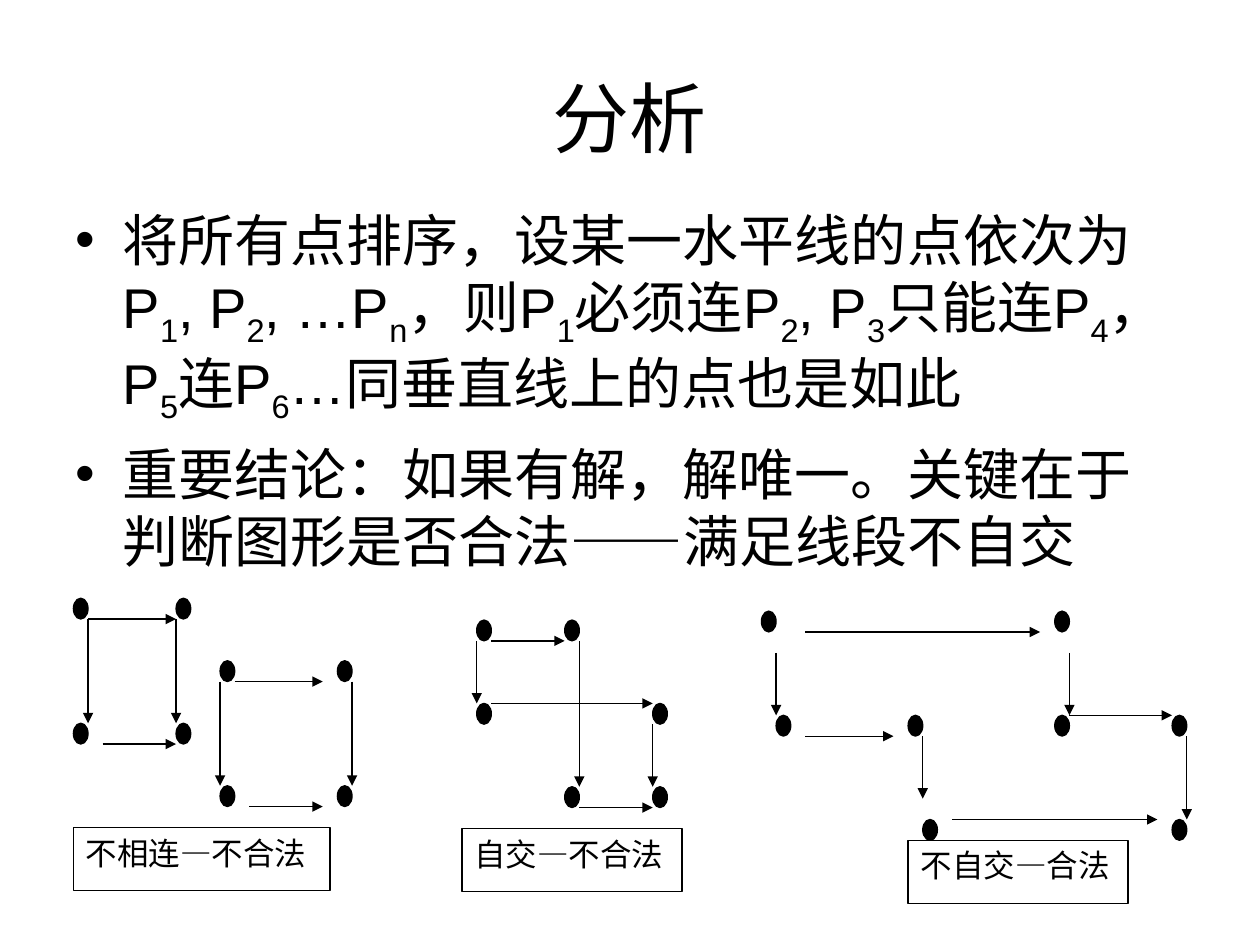
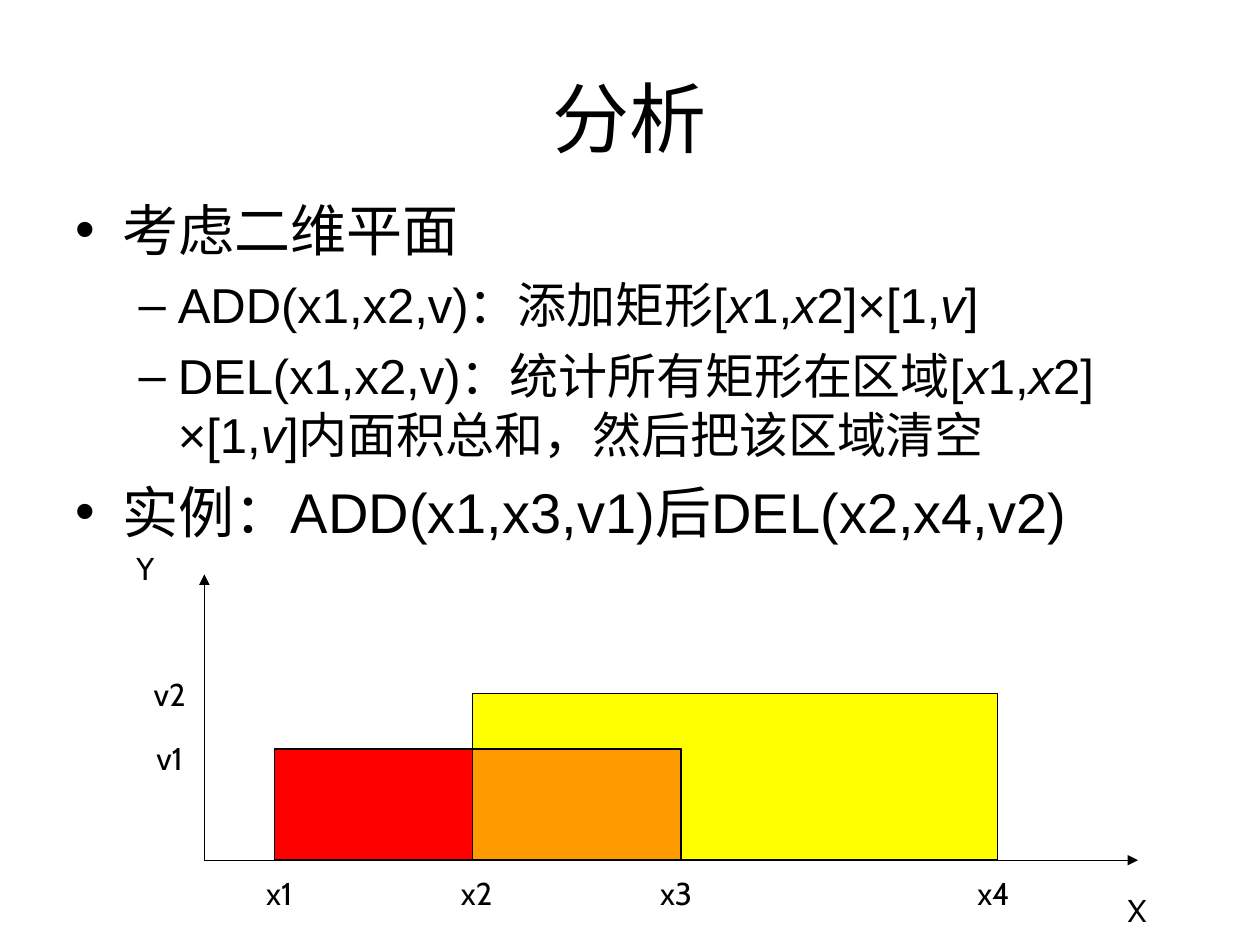
from lxml.etree import SubElement
from pptx import Presentation
from pptx.dml.color import RGBColor
from pptx.enum.shapes import MSO_CONNECTOR as Link, MSO_SHAPE as Shape
from pptx.enum.text import MSO_ANCHOR as Anchor, MSO_AUTO_SIZE as Fit, PP_ALIGN as Align
from pptx.oxml.ns import qn
from pptx.util import Cm, Pt

BLACK, WHITE = "000000", "FFFFFF"
YELLOW, RED, ORANGE = "FFFF00", "FF0000", "FF9900"
HEADING_FONT, CAPTION_FONT, AXIS_FONT = "Arial", "Times New Roman", "Cabin"

# One dot fills one cell of the grid that the point diagrams stand on.
CELL_W, CELL_H = 17.74 / 60, 0.42

# Level: bullet, text size, space before, left margin and hanging indent in cm
LEVELS = [("•", 32, 8, 0.95, 0.95), ("–", 28, 7, 2.06, 0.79)]

# Places are (column, row) cells counted from each diagram's origin in cm.
DIAGRAMS = [
    dict(origin=(1.48, 12.06),
         dots=[(0, 0), (7, 0), (10, 3), (18, 3), (7, 6), (0, 6), (10, 9), (18, 9)],
         arrows=[(1, 1, 7, 1), (1, 1, 1, 6), (7, 1, 7, 6), (11, 4, 17, 4),
                 (10, 4, 10, 9), (19, 4, 19, 9), (12, 10, 17, 10), (2, 7, 7, 7)],
         caption=("不相连—不合法", 0, 11, 17.5)),
    dict(origin=(15.35, 12.32),
         dots=[(20, 5), (28, 5), (28, 10), (20, 0), (11, 10), (10, 5), (1, 5), (0, 0)],
         arrows=[(3, 1, 19, 1), (21, 2, 21, 5), (21, 5, 28, 5), (29, 6, 29, 10),
                 (1, 2, 1, 5), (3, 6, 9, 6), (11, 6, 11, 9), (13, 10, 27, 10)],
         caption=("不自交—合法", 10, 11, 15)),
    dict(origin=(9.61, 12.5),
         dots=[(0, 0), (6, 0), (0, 4), (12, 8), (6, 8), (12, 4)],
         arrows=[(1, 1, 6, 1), (0, 1, 0, 4), (1, 4, 12, 4),
                 (7, 1, 7, 8), (7, 9, 12, 9), (12, 5, 12, 8)],
         caption=("自交—不合法", -1, 10, 15)),
]


def colour(value):
    return RGBColor.from_string(value)


class Deck:
    def __init__(self):
        self.deck = Presentation()
        self.deck.slide_width, self.deck.slide_height = Cm(25.4), Cm(19.05)
        self.page = None

    def new_page(self, title):
        self.page = self.deck.slides.add_slide(self.deck.slide_layouts[1])
        box = self.page.shapes.title
        self.place(box, 1.27, 0.76, 22.86, 3.18)
        box.text_frame.vertical_anchor = Anchor.MIDDLE
        para = box.text_frame.paragraphs[0]
        para.alignment = Align.CENTER
        self.span(para, title, 44, HEADING_FONT)

    def place(self, box, left, top, width, height):
        box.left, box.top, box.width, box.height = map(Cm, (left, top, width, height))

    def span(self, para, text, size, font):
        span = para.add_run()
        span.text = text
        span.font.size, span.font.name = Pt(size), font
        span.font.color.rgb = colour(BLACK)
        return span

    def body(self, top, items, subscript=False):
        """Write (level, text) items; text between bars is subscript or italic."""
        box = self.page.placeholders[1]
        self.place(box, 1.27, top, 22.86, 12.57)
        frame = box.text_frame
        frame.auto_size = Fit.NONE
        for number, (level, text) in enumerate(items):
            para = frame.add_paragraph() if number else frame.paragraphs[0]
            mark, size, before, margin, hanging = LEVELS[level]
            para.level = level
            para.space_before = Pt(before if number else 0)
            self.bullet(para, mark, margin, hanging)
            for index, part in enumerate(text.split("|")):
                if not part:
                    continue
                span = self.span(para, part, size, HEADING_FONT)
                if index % 2 and subscript:
                    span._r.get_or_add_rPr().set("baseline", "-25000")
                elif index % 2:
                    span.font.italic = True

    def bullet(self, para, mark, margin, hanging):
        props = para._p.get_or_add_pPr()
        props.set("marL", str(Cm(margin)))
        props.set("indent", str(-Cm(hanging)))
        tint = SubElement(props, qn("a:buClr"))
        SubElement(tint, qn("a:srgbClr"), val=BLACK)
        SubElement(props, qn("a:buFont"), typeface=HEADING_FONT)
        SubElement(props, qn("a:buChar"), char=mark)

    def shape(self, kind, left, top, width, height, fill):
        shape = self.page.shapes.add_shape(kind, *map(Cm, (left, top, width, height)))
        shape.shadow.inherit = False
        shape.fill.solid()
        shape.fill.fore_color.rgb = colour(fill)
        shape.line.color.rgb = colour(BLACK)
        shape.line.width = Pt(0.75)
        return shape

    def arrow(self, *ends):
        arrow = self.page.shapes.add_connector(Link.STRAIGHT, *map(Cm, ends))
        arrow.line.color.rgb = colour(BLACK)
        arrow.line.width = Pt(0.75)
        SubElement(arrow.line._get_or_add_ln(), qn("a:tailEnd"), type="triangle")
        SubElement(arrow._element.spPr, qn("a:effectLst"))

    def caption(self, text, left, top, width):
        box = self.shape(Shape.RECTANGLE, left, top, width, 1.27, WHITE)
        box.text_frame.vertical_anchor = Anchor.TOP
        para = box.text_frame.paragraphs[0]
        para.alignment = Align.JUSTIFY
        self.span(para, text, 18, CAPTION_FONT)

    def axis_label(self, text, centre, top):
        width = 1.4
        box = self.page.shapes.add_textbox(Cm(centre - width / 2), Cm(top), Cm(width), Cm(1.02))
        box.text_frame.word_wrap = True
        box.text_frame.auto_size = Fit.SHAPE_TO_FIT_TEXT
        para = box.text_frame.paragraphs[0]
        para.alignment = Align.CENTER
        self.span(para, text, 18, AXIS_FONT)

    def point_diagram(self, origin, dots, arrows, caption):
        def at(column, row):
            return origin[0] + column * CELL_W, origin[1] + row * CELL_H

        for dot in dots:
            self.shape(Shape.OVAL, *at(*dot), CELL_W, CELL_H, BLACK)
        for arrow in arrows:
            self.arrow(*at(*arrow[:2]), *at(*arrow[2:]))
        text, column, row, columns = caption
        self.caption(text, *at(column, row), columns * CELL_W)


def connection_page(deck):
    deck.new_page("分析")
    deck.body(4.01, [
        (0, "将所有点排序，设某一水平线的点依次为P|1|, P|2|, …P|n|，则P|1|必须连P|2|, P|3|"
            "只能连P|4|，P|5|连P|6|…同垂直线上的点也是如此"),
        (0, "重要结论：如果有解，解唯一。关键在于判断图形是否合法——满足线段不自交"),
    ], subscript=True)
    for diagram in DIAGRAMS:
        deck.point_diagram(**diagram)


def rectangle_page(deck):
    deck.new_page("分析")
    deck.body(3.81, [
        (0, "考虑二维平面"),
        (1, "ADD(x1,x2,v)：添加矩形[|x|1,|x|2]×[1,|v|]"),
        (1, "DEL(x1,x2,v)：统计所有矩形在区域[|x|1,|x|2] ×[1,|v|]内面积总和，然后把该区域清空"),
        (0, "实例：ADD(x1,x3,v1)后DEL(x2,x4,v2)"),
    ])
    axis_x, base = 4.12, 17.34
    x1, x2, x3, x4 = 5.54, 9.52, 13.73, 20.11
    v1, v2 = 2.24, 3.36
    for start, end, height, fill in [(x2, x4, v2, YELLOW), (x1, x3, v1, RED), (x2, x3, v1, ORANGE)]:
        deck.shape(Shape.RECTANGLE, start, base - height, end - start, height, fill)
    deck.arrow(axis_x, base, axis_x, 11.58)
    deck.arrow(axis_x, base, 22.94, base)
    for text, centre, top in [("Y", 2.93, 10.95), ("X", 22.92, 17.83),
                              ("v1", 3.42, 14.78), ("v2", 3.42, 13.49)]:
        deck.axis_label(text, centre, top)
    for text, centre in [("x1", 5.63), ("x2", 9.61), ("x3", 13.63), ("x4", 20.03)]:
        deck.axis_label(text, centre, 17.49)


def main():
    deck = Deck()
    connection_page(deck)
    rectangle_page(deck)
    deck.deck.save("out.pptx")


if __name__ == "__main__":
    main()
